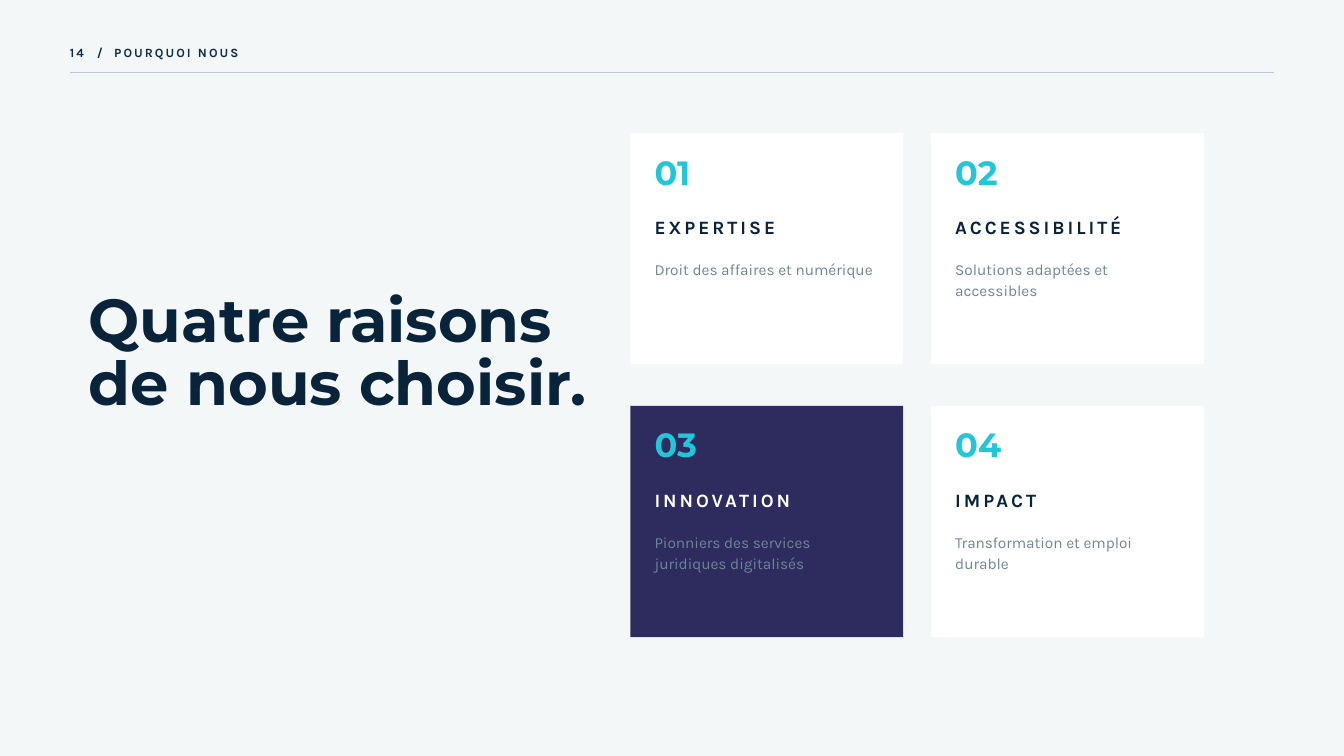
from dataclasses import dataclass

from lxml.etree import SubElement
from pptx import Presentation
from pptx.dml.color import RGBColor
from pptx.enum.shapes import MSO_CONNECTOR, MSO_SHAPE
from pptx.enum.text import MSO_ANCHOR, MSO_AUTO_SIZE, PP_ALIGN
from pptx.oxml.ns import qn
from pptx.slide import Slide
from pptx.text.text import TextFrame
from pptx.util import Inches, Pt

WIDTH, HEIGHT = 20, 11.25
MARGIN, RULE_Y = 1.04, 1.08
GRID_LEFT, GRID_TOP = 9.38, 1.98
CARD_W, CARD_H = 4.06, 3.44
COLUMN_STEP, ROW_STEP = 4.475, 4.06
PADDING = 0.36
COLORS = {
    "page": "F3F7F8", "navy": "09233B", "header": "0B2B4B", "rule": "B9C8D1",
    "cyan": "21C7D9", "slate": "6F8597", "white": "FFFFFF", "indigo": "2E2B5F",
}


@dataclass(frozen=True)
class Style:
    font: str
    size: float
    leading: float
    bold: bool = True
    tracking: float = 0


@dataclass(frozen=True)
class Reason:
    column: int
    row: int
    number: str
    name: str
    detail: str
    fill: str = "white"
    ink: str = "navy"


HEADER = Style("Karla", 13.5, 18.9, tracking=2.2)
HEADLINE = Style("Montserrat", 65, 66.9)
NUMBER = Style("Montserrat", 36, 37.1)
NAME = Style("Karla", 20.2, 28.4, tracking=3.2)
DETAIL = Style("Karla", 16.5, 22.3, bold=False)

REASONS = [
    Reason(0, 0, "01", "EXPERTISE", "Droit des affaires et numérique"),
    Reason(1, 0, "02", "ACCESSIBILITÉ", "Solutions adaptées et accessibles"),
    Reason(0, 1, "03", "INNOVATION", "Pionniers des services juridiques digitalisés",
           "indigo", "white"),
    Reason(1, 1, "04", "IMPACT", "Transformation et emploi durable"),
]


def color(name: str) -> RGBColor:
    return RGBColor.from_string(COLORS[name])


def write(frame: TextFrame, text: str, style: Style, ink: str,
          tabs: tuple[float, ...] = ()) -> None:
    frame.margin_left = frame.margin_top = frame.margin_right = frame.margin_bottom = 0
    frame.word_wrap = True
    frame.auto_size = MSO_AUTO_SIZE.NONE
    frame.vertical_anchor = MSO_ANCHOR.TOP
    frame.text = text
    for paragraph in frame.paragraphs:
        properties = paragraph._p.get_or_add_pPr()
        if tabs:
            stops = SubElement(properties, qn("a:tabLst"))
            for stop in tabs:
                SubElement(stops, qn("a:tab"), pos=str(Inches(stop)), algn="l")
        paragraph.alignment = PP_ALIGN.LEFT
        paragraph.line_spacing = Pt(style.leading)
        font = paragraph.font
        font.name, font.size, font.bold = style.font, Pt(style.size), style.bold
        font.color.rgb = color(ink)
        if style.tracking:
            properties.find(qn("a:defRPr")).set("spc", str(round(style.tracking * 100)))


def add_text(slide: Slide, left: float, top: float, width: float, height: float,
             text: str, style: Style, ink: str, tabs: tuple[float, ...] = ()) -> None:
    box = slide.shapes.add_textbox(Inches(left), Inches(top), Inches(width), Inches(height))
    write(box.text_frame, text, style, ink, tabs)


def add_header(slide: Slide) -> None:
    add_text(slide, MARGIN, 0.63, 6.46, 0.24, "14\t/\tPOURQUOI NOUS", HEADER, "header",
             (0.4, 0.66))
    rule = slide.shapes.add_connector(MSO_CONNECTOR.STRAIGHT, Inches(MARGIN), Inches(RULE_Y),
                                      Inches(WIDTH - MARGIN), Inches(RULE_Y))
    rule.line.color.rgb = color("rule")
    rule.line.width = Pt(1)
    SubElement(rule._element.spPr, qn("a:effectLst"))


def add_headline(slide: Slide) -> None:
    title = slide.shapes.title
    title.left, title.top = Inches(1.32), Inches(4.35)
    title.width, title.height = Inches(8.54), Inches(1.89)
    write(title.text_frame, "Quatre raisons\nde nous choisir.", HEADLINE, "navy")


def add_card(slide: Slide, reason: Reason) -> None:
    left = GRID_LEFT + reason.column * COLUMN_STEP
    top = GRID_TOP + reason.row * ROW_STEP
    card = slide.shapes.add_shape(MSO_SHAPE.RECTANGLE, Inches(left), Inches(top),
                                  Inches(CARD_W), Inches(CARD_H))
    card.shadow.inherit = False
    card.fill.solid()
    card.fill.fore_color.rgb = color(reason.fill)
    card.line.fill.background()
    inner = left + PADDING
    add_text(slide, inner, top + PADDING, 1.25, 0.55, reason.number, NUMBER, "cyan")
    add_text(slide, inner, top + 1.17, 3.44, 0.36, reason.name, NAME, reason.ink)
    add_text(slide, inner, top + 1.86, 3.33, 0.59, reason.detail, DETAIL, "slate")


def main() -> None:
    """Build the slide giving four reasons to choose the firm."""
    deck = Presentation()
    deck.slide_width, deck.slide_height = Inches(WIDTH), Inches(HEIGHT)
    slide = deck.slides.add_slide(deck.slide_layouts[5])
    slide.background.fill.solid()
    slide.background.fill.fore_color.rgb = color("page")
    add_header(slide)
    add_headline(slide)
    for reason in REASONS:
        add_card(slide, reason)
    deck.save("out.pptx")


if __name__ == "__main__":
    main()
